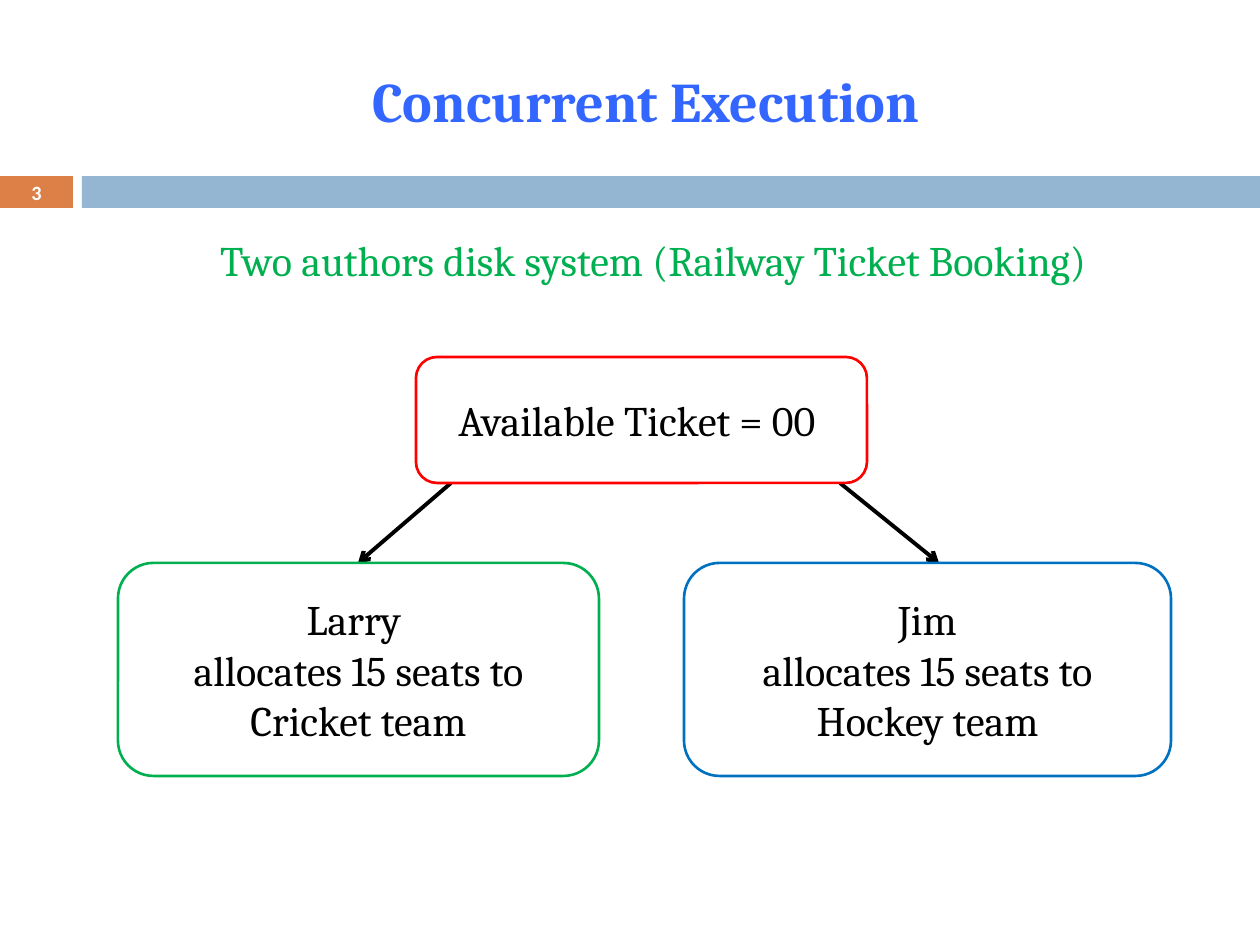
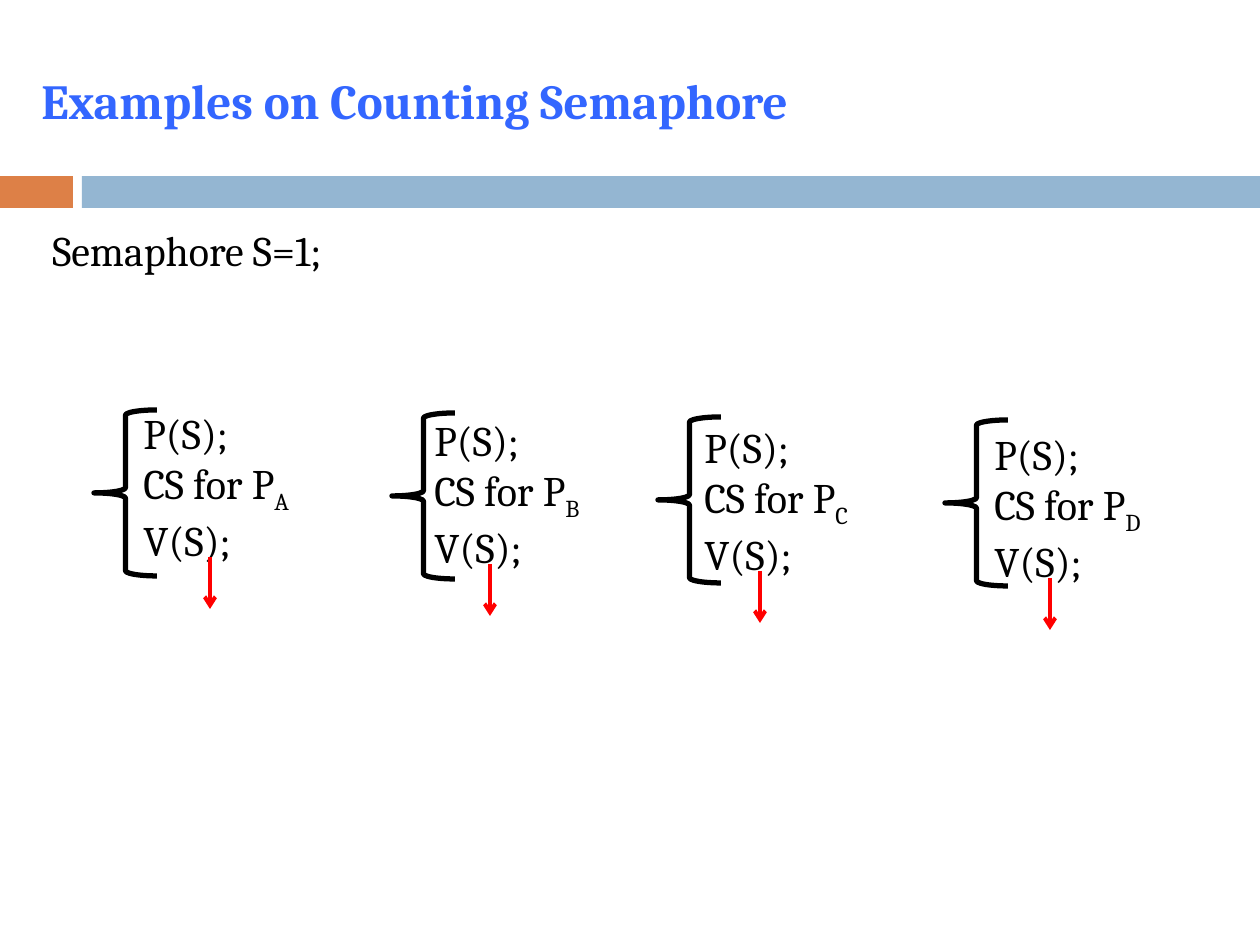
from dataclasses import dataclass

from pptx import Presentation
from pptx.dml.color import RGBColor
from pptx.enum.shapes import MSO_CONNECTOR, MSO_SHAPE
from pptx.enum.text import MSO_ANCHOR, PP_ALIGN
from pptx.oxml.ns import qn
from pptx.shapes.autoshape import Shape
from pptx.slide import Slide
from pptx.util import Pt
from lxml import etree

RECT, ROUNDED, BRACE = MSO_SHAPE.RECTANGLE, MSO_SHAPE.ROUNDED_RECTANGLE, MSO_SHAPE.LEFT_BRACE
STRAIGHT = MSO_CONNECTOR.STRAIGHT
LEFT, CENTER = PP_ALIGN.LEFT, PP_ALIGN.CENTER
TOP, MIDDLE = MSO_ANCHOR.TOP, MSO_ANCHOR.MIDDLE

EMU_PER_PX = 914400 / 126
SLIDE_WIDTH, SLIDE_HEIGHT = 1260, 945
BODY_FONT, NUMBER_FONT = "Cambria", "Calibri"
BODY_SIZE = 24
COLORS = {
    "white": "FFFFFF",
    "black": "000000",
    "title": "3366FF",
    "tab": "DD8047",
    "band": "94B6D2",
    "green": "00B050",
    "blue": "0070C0",
    "red": "FF0000",
}


@dataclass(frozen=True)
class Area:
    left: int
    top: int
    width: int
    height: int

    def emu(self) -> tuple[int, int, int, int]:
        return px(self.left), px(self.top), px(self.width), px(self.height)


@dataclass(frozen=True)
class TextStyle:
    size: float = BODY_SIZE
    color: str = "black"
    bold: bool = False
    font: str = BODY_FONT
    align: PP_ALIGN = LEFT
    anchor: MSO_ANCHOR = TOP


@dataclass(frozen=True)
class Party:
    text: str
    area: Area
    outline: str


@dataclass(frozen=True)
class Process:
    letter: str
    brace_left: int
    code_left: int
    code_width: int
    arrow_x: int


BODY = TextStyle()
BOXED = TextStyle(align=CENTER, anchor=MIDDLE)

PARTIES = [
    Party("Larry \nallocates 15 seats to Cricket team", Area(118, 563, 481, 213), "green"),
    Party("Jim\nallocates 15 seats to Hockey team", Area(684, 563, 487, 213), "blue"),
    Party("Available Ticket = 00 ", Area(416, 357, 451, 126), "red"),
]
ALLOCATION_ARROWS = [((451, 483), (358, 563)), ((840, 483), (939, 563))]

PROCESSES = [
    Process("A", 94, 131, 310, 210),
    Process("B", 392, 422, 310, 490),
    Process("C", 658, 692, 260, 760),
    Process("D", 945, 982, 281, 1050),
]
CODE_TOP, BRACE_TOP, ARROW_TOP = 401, 410, 557
CODE_DROP = 7  # each process sits a little lower than the one before
ARROW_LENGTH = 52


def px(length: int) -> int:
    return round(length * EMU_PER_PX)


def rgb(name: str) -> RGBColor:
    return RGBColor.from_string(COLORS[name])


def format_text(shape: Shape, style: TextStyle) -> None:
    frame = shape.text_frame
    frame.word_wrap = True
    frame.vertical_anchor = style.anchor
    for paragraph in frame.paragraphs:
        paragraph.alignment = style.align
        for run in paragraph.runs:
            run.font.name = style.font
            run.font.size = Pt(style.size)
            run.font.bold = style.bold
            run.font.color.rgb = rgb(style.color)


def add_text(slide: Slide, text: str, area: Area, style: TextStyle) -> Shape:
    box = slide.shapes.add_textbox(*area.emu())
    box.text_frame.text = text
    format_text(box, style)
    return box


def add_figure(slide: Slide, preset: MSO_SHAPE, area: Area, fill: str | None = None,
               outline: str | None = None, weight: float = 1.5) -> Shape:
    figure = slide.shapes.add_shape(preset, *area.emu())
    figure.shadow.inherit = False
    if fill:
        figure.fill.solid()
        figure.fill.fore_color.rgb = rgb(fill)
    else:
        figure.fill.background()
    if outline:
        figure.line.color.rgb = rgb(outline)
        figure.line.width = Pt(weight)
    else:
        figure.line.fill.background()
    return figure


def add_arrow(slide: Slide, start: tuple[int, int], end: tuple[int, int], color: str) -> None:
    arrow = slide.shapes.add_connector(STRAIGHT, *map(px, start + end))
    arrow.line.color.rgb = rgb(color)
    arrow.line.width = Pt(2.25)
    properties = arrow.element.spPr
    etree.SubElement(properties.find(qn("a:ln")), qn("a:tailEnd"), type="arrow")
    etree.SubElement(properties, qn("a:effectLst"))


def add_base_slide(deck: Presentation, title: str, title_area: Area, size: int,
                   align: PP_ALIGN) -> Slide:
    """Add a blank slide with the orange tab, the blue band and a title."""
    slide = deck.slides.add_slide(deck.slide_layouts[6])
    add_figure(slide, RECT, Area(0, 176, 73, 32), "tab")
    add_figure(slide, RECT, Area(82, 176, 1178, 32), "band")
    add_text(slide, title, title_area, TextStyle(size, "title", True, align=align, anchor=MIDDLE))
    return slide


def add_party(slide: Slide, party: Party) -> None:
    box = add_figure(slide, ROUNDED, party.area, "white", party.outline)
    box.text_frame.text = party.text
    format_text(box, BOXED)


def add_process(slide: Slide, index: int, process: Process) -> None:
    """Draw a process's critical section with its brace and exit arrow."""
    drop = index * CODE_DROP
    brace_area = Area(process.brace_left, BRACE_TOP + drop // 2, 63, 166)
    add_figure(slide, BRACE, brace_area, outline="black", weight=3)

    code_area = Area(process.code_left, CODE_TOP + drop, process.code_width, 165)
    code = add_text(slide, "P(S);\nCS for P\nV(S);", code_area, BODY)
    subscript = code.text_frame.paragraphs[1].add_run()
    subscript.text = process.letter
    format_text(code, BODY)
    subscript._r.get_or_add_rPr().set("baseline", "-25000")

    top = ARROW_TOP + drop
    add_arrow(slide, (process.arrow_x, top), (process.arrow_x, top + ARROW_LENGTH), "red")


def build_concurrent_execution(deck: Presentation) -> None:
    slide = add_base_slide(deck, "Concurrent Execution", Area(84, 32, 1124, 136), 32, CENTER)
    add_text(slide, "3", Area(0, 175, 73, 34),
             TextStyle(11.6, "white", True, NUMBER_FONT, CENTER, MIDDLE))
    subtitle = add_text(slide, "Two authors disk system (Railway Ticket Booking)",
                        Area(30, 228, 1177, 670), TextStyle(color="green"))
    subtitle.text_frame.margin_left = px(190)
    for start, end in ALLOCATION_ARROWS:
        add_arrow(slide, start, end, "black")
    for party in PARTIES:
        add_party(slide, party)


def build_counting_semaphore(deck: Presentation) -> None:
    slide = add_base_slide(deck, "Examples on Counting Semaphore", Area(29, 32, 1198, 136),
                           28, LEFT)
    add_text(slide, "Semaphore S=1;", Area(40, 218, 398, 63), BODY)
    for index, process in enumerate(PROCESSES):
        add_process(slide, index, process)


def main() -> None:
    deck = Presentation()
    deck.slide_width, deck.slide_height = px(SLIDE_WIDTH), px(SLIDE_HEIGHT)
    build_concurrent_execution(deck)
    build_counting_semaphore(deck)
    deck.save("out.pptx")


if __name__ == "__main__":
    main()
